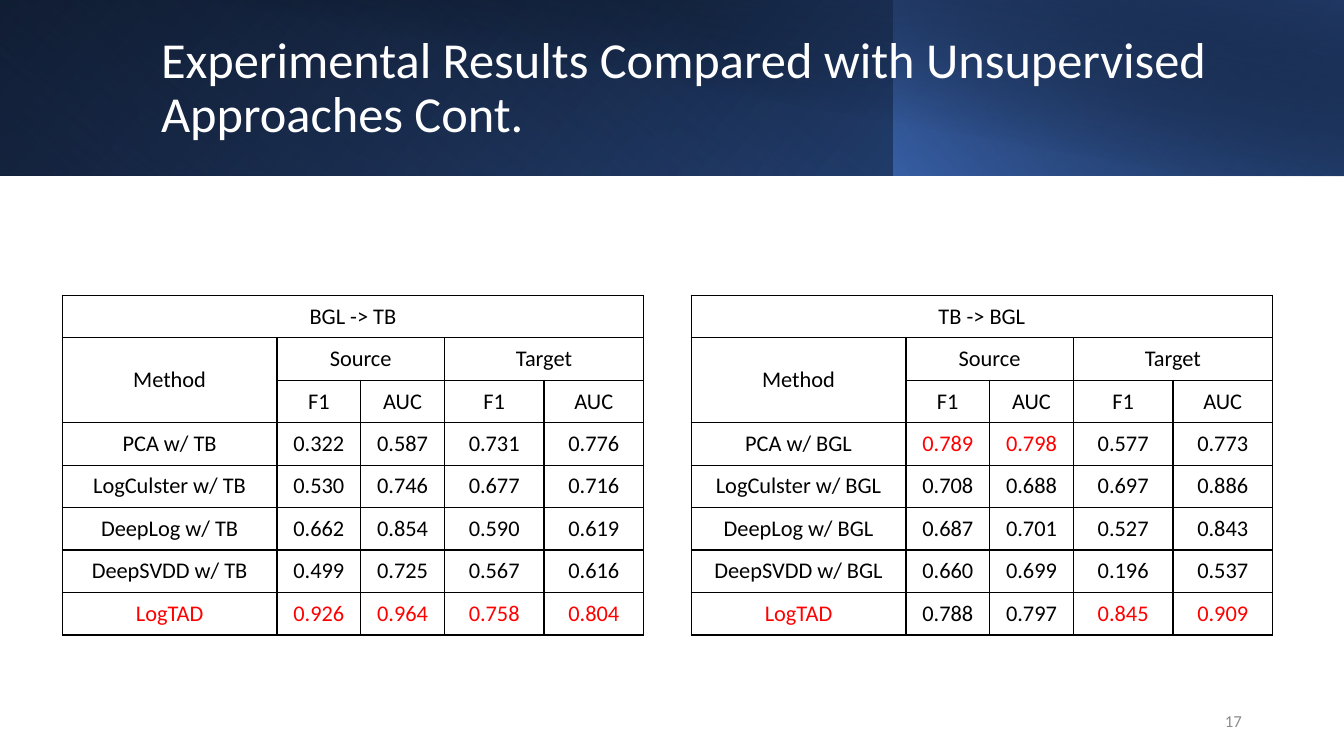
from lxml import etree
from pptx import Presentation
from pptx.dml.color import RGBColor
from pptx.enum.shapes import MSO_SHAPE
from pptx.enum.text import MSO_ANCHOR, PP_ALIGN
from pptx.oxml import parse_xml
from pptx.oxml.ns import qn
from pptx.util import Cm, Pt

RECT = MSO_SHAPE.RECTANGLE
MIDDLE = MSO_ANCHOR.MIDDLE
LEFT, CENTER, RIGHT = PP_ALIGN.LEFT, PP_ALIGN.CENTER, PP_ALIGN.RIGHT

BLACK = RGBColor(0x00, 0x00, 0x00)
WHITE = RGBColor(0xFF, 0xFF, 0xFF)
RED = RGBColor(0xFF, 0x00, 0x00)
GRAY = RGBColor(0x8C, 0x8C, 0x8C)
BLUE = RGBColor(0x44, 0x72, 0xC4)
DEEP = RGBColor(0x2F, 0x55, 0x97)
NAVY = RGBColor(0x20, 0x38, 0x64)

FONT = "Calibri"
NS = 'xmlns:a="http://schemas.openxmlformats.org/drawingml/2006/main"'
WIDE, TALL = 33.87, 19.05
COLS = (5.41, 2.11, 2.11, 2.51, 2.51)
ROW = 1.07
SIDES = ("lnL", "lnR", "lnT", "lnB")

BANDS = (
    ((0, 0, WIDE, 4.42), 0, True, 140, ((0, BLACK, 100), (100, DEEP, 100))),
    ((0, 0, 22.56, 4.42), 180, True, 230, ((20, BLUE, 0), (100, NAVY, 55))),
    ((22.53, 0, 11.34, 4.42), 0, True, 220, ((0, BLUE, 66), (100, BLACK, 30))),
    ((1.27, 0, 32.6, 4.45), 0, False, 280, ((50, BLACK, 0), (99, NAVY, 52))),
)
METHODS = ("PCA", "LogCulster", "DeepLog", "DeepSVDD")
OURS = "LogTAD"
TO_TB = (
    ("0.322", "0.587", "0.731", "0.776"),
    ("0.530", "0.746", "0.677", "0.716"),
    ("0.662", "0.854", "0.590", "0.619"),
    ("0.499", "0.725", "0.567", "0.616"),
    ("0.926", "0.964", "0.758", "0.804"),
)
TO_BGL = (
    ("0.789", "0.798", "0.577", "0.773"),
    ("0.708", "0.688", "0.697", "0.886"),
    ("0.687", "0.701", "0.527", "0.843"),
    ("0.660", "0.699", "0.196", "0.537"),
    ("0.788", "0.797", "0.845", "0.909"),
)


def style(frame, text, size, color, align):
    """Fill a text frame with one formatted paragraph."""
    frame.text = text
    para = frame.paragraphs[0]
    para.alignment = align
    for run in para.runs:
        run.font.name = FONT
        run.font.size = Pt(size)
        run.font.color.rgb = color
    return para


def add_band(slide, place, turn, flip, angle, stops):
    """Add a header rectangle with a gradient of given opacities."""
    band = slide.shapes.add_shape(RECT, *map(Cm, place))
    band.shadow.inherit = False
    band.line.fill.background()
    band.rotation = turn
    band.fill.gradient()
    props = band._element.spPr
    if flip:
        props.find(qn("a:xfrm")).set("flipH", "1")
    marks = "".join(
        f'<a:gs pos="{pos * 1000}"><a:srgbClr val="{color}">'
        f'<a:alpha val="{alpha * 1000}"/></a:srgbClr></a:gs>'
        for pos, color, alpha in stops
    )
    grad = parse_xml(
        f'<a:gradFill {NS} rotWithShape="1"><a:gsLst>{marks}</a:gsLst>'
        f'<a:lin ang="{angle * 60000}" scaled="0"/></a:gradFill>'
    )
    props.replace(props.find(qn("a:gradFill")), grad)


def add_label(slide, place, text, size, color, align):
    """Add a wrapped text box and return its paragraph."""
    frame = slide.shapes.add_textbox(*map(Cm, place)).text_frame
    frame.word_wrap = True
    frame.vertical_anchor = MIDDLE
    return style(frame, text, size, color, align)


def set_cell(cell, text, color):
    """Write a centred table cell with thin black borders."""
    cell.vertical_anchor = MIDDLE
    cell.fill.background()
    style(cell.text_frame, text, 16, color, CENTER)
    props = cell._tc.get_or_add_tcPr()
    for spot, side in enumerate(SIDES):
        edge = etree.Element(qn(f"a:{side}"), w=str(Pt(1)))
        fill = etree.SubElement(edge, qn("a:solidFill"))
        etree.SubElement(fill, qn("a:srgbClr"), val=str(BLACK))
        props.insert(spot, edge)


def add_scores(slide, left, title, base, scores):
    """Add a score table with the best value of each column in red."""
    names = [f"{name} w/ {base}" for name in METHODS] + [OURS]
    rows = [
        (title, "", "", "", ""),
        ("Method", "Source", "", "Target", ""),
        ("", "F1", "AUC", "F1", "AUC"),
        *((name, *vals) for name, vals in zip(names, scores)),
    ]
    best = [OURS, *map(max, zip(*scores))]
    place = (left, 7.44, sum(COLS), ROW * len(rows))
    table = slide.shapes.add_table(len(rows), len(COLS), *map(Cm, place)).table
    for col, width in zip(table.columns, COLS):
        col.width = Cm(width)
    for r, row in enumerate(rows):
        table.rows[r].height = Cm(ROW)
        for c, text in enumerate(row):
            set_cell(table.cell(r, c), text, RED if text == best[c] else BLACK)
    for top, start, end, stop in ((0, 0, 0, 4), (1, 0, 2, 0), (1, 1, 1, 2), (1, 3, 1, 4)):
        table.cell(top, start).merge(table.cell(end, stop))


def main():
    """Build the slide and save it."""
    deck = Presentation()
    deck.slide_width, deck.slide_height = Cm(WIDE), Cm(TALL)
    slide = deck.slides.add_slide(deck.slide_layouts[6])
    for band in BANDS:
        add_band(slide, *band)
    title = add_label(
        slide, (3.81, 0.81, 27.48, 2.87),
        "Experimental Results Compared with Unsupervised Approaches Cont.",
        36, WHITE, LEFT,
    )
    title.line_spacing = 0.9
    add_label(slide, (23.93, 17.65, 7.62, 1.02), "17", 12, GRAY, RIGHT)
    add_scores(slide, 1.57, "BGL -> TB", "TB", TO_TB)
    add_scores(slide, 17.42, "TB -> BGL", "BGL", TO_BGL)
    deck.save("out.pptx")


if __name__ == "__main__":
    main()
